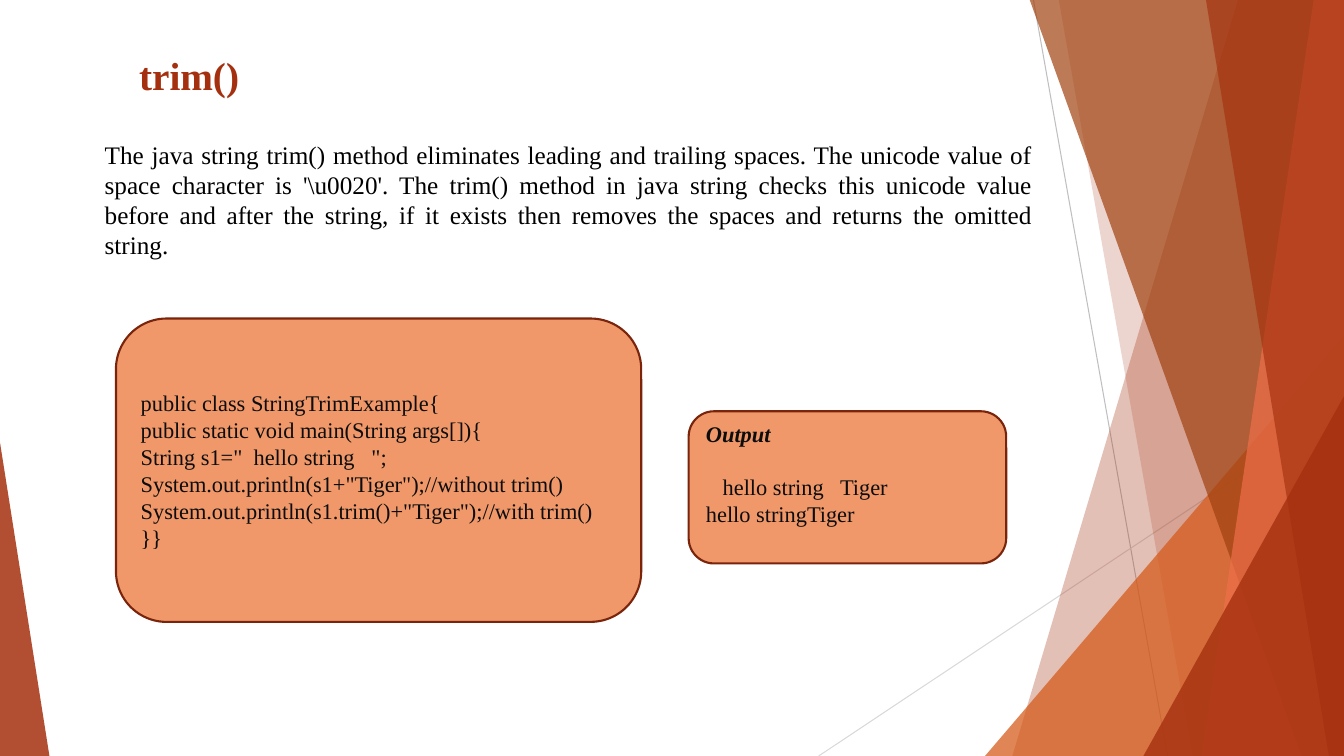
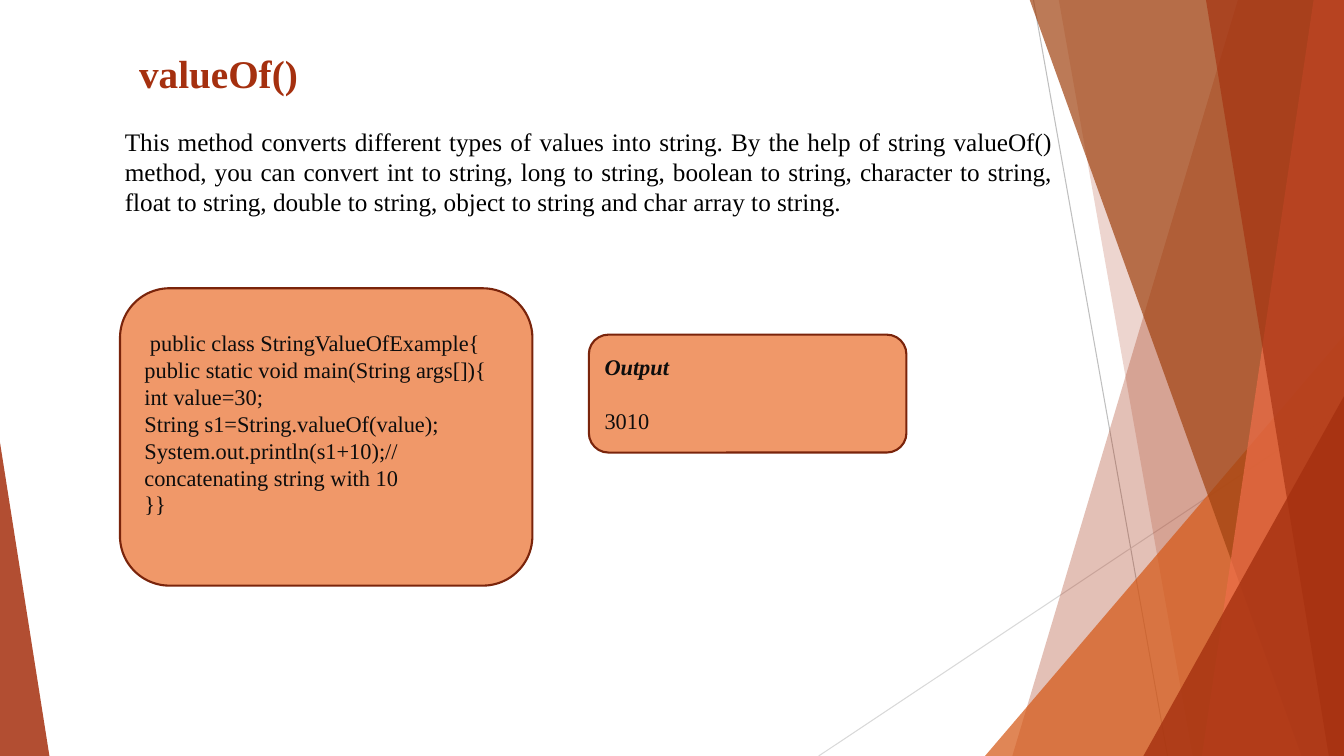
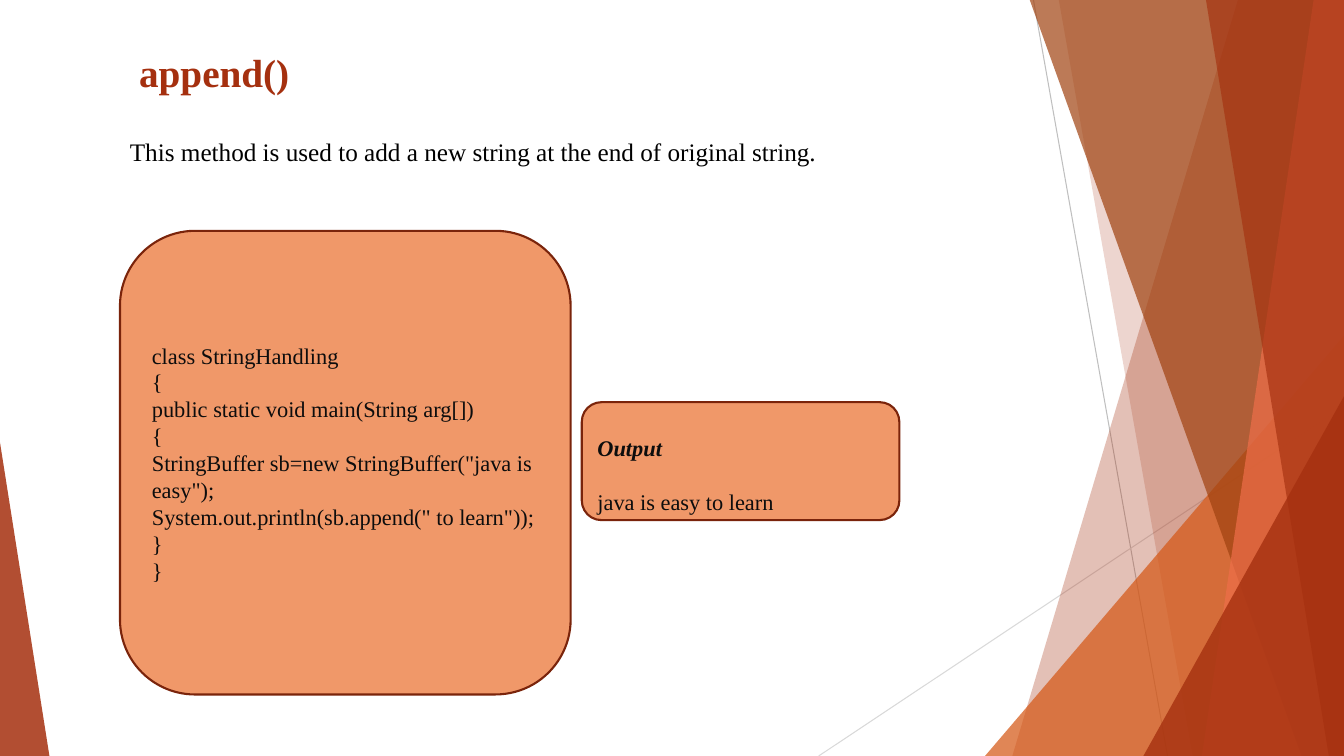
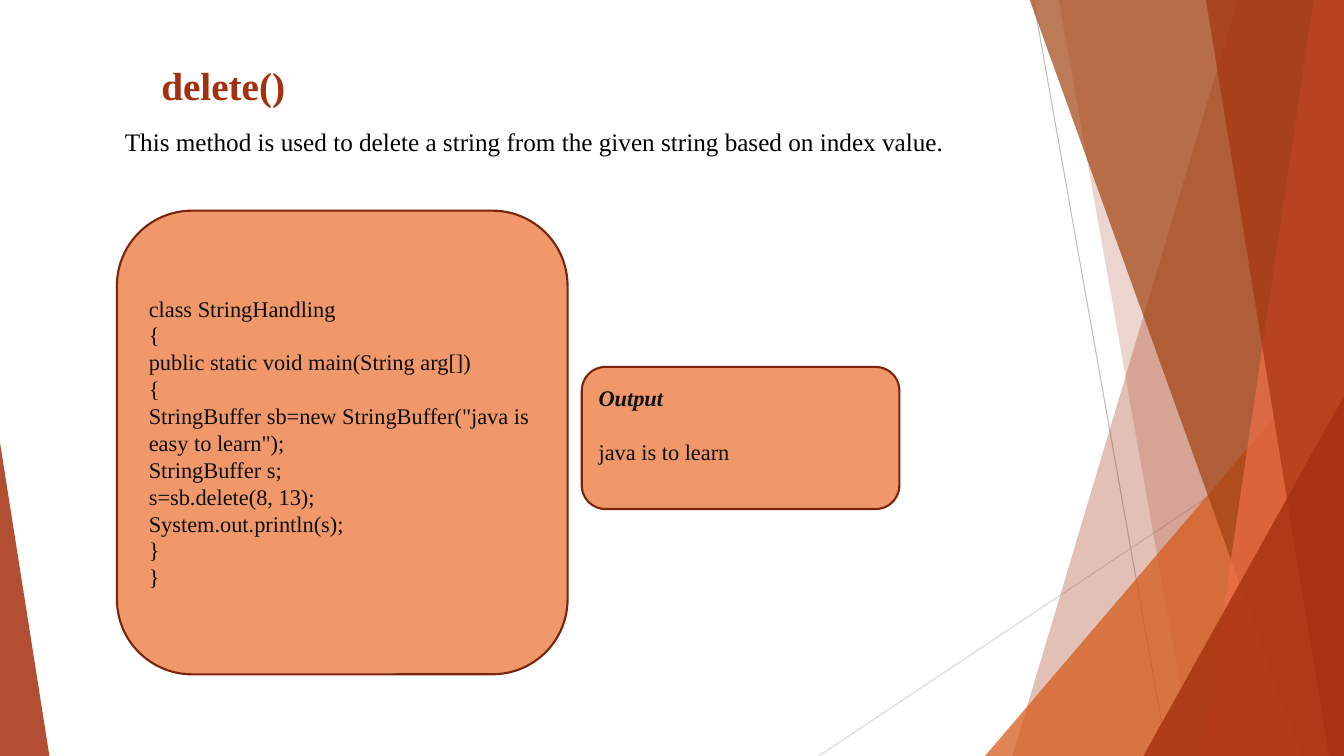
"""Build four slides on Java string methods, each with code and its output."""
from dataclasses import dataclass

from lxml.etree import SubElement
from pptx import Presentation
from pptx.dml.color import RGBColor
from pptx.enum.shapes import MSO_CONNECTOR as CONN, MSO_SHAPE as SHAPE
from pptx.enum.text import MSO_ANCHOR as ANCHOR, MSO_AUTO_SIZE as FIT, PP_ALIGN as ALIGN
from pptx.oxml.ns import qn
from pptx.shapes.shapetree import GroupShapes
from pptx.util import Inches, Pt


@dataclass(frozen=True)
class Theme:
    font: str = "Times New Roman"
    accent: str = "A5300F"
    orange: str = "D55816"
    brown: str = "A04210"
    coral: str = "EE6E4A"
    panel: str = "F09869"
    border: str = "7A240B"
    body: str = "000000"
    code: str = "0D0D0D"
    rule_dark: str = "BFBFBF"
    rule_light: str = "D9D9D9"
    title_size: int = 28
    body_size: int = 18
    code_size: int = 16
    output_gap: int = 19


T = Theme()
WIDTH, HEIGHT, BLEED = 13.33, 7.5, -0.01
EVEN, RAISED, LOWERED = (0.05, 0.05), (0, 0.27), (0.27, 0)


def paint(s, color, opacity=100):
    s.shadow.inherit = False
    s.fill.solid()
    s.fill.fore_color.rgb = RGBColor.from_string(color)
    s.line.fill.background()
    if opacity < 100:
        clr = s.fill._xPr.find(qn("a:solidFill"))[0]
        SubElement(clr, qn("a:alpha")).set("val", str(opacity * 1000))


def write(tf, lines, size, color, align=ALIGN.LEFT):
    tf.word_wrap = True
    for i, line in enumerate(lines):
        p = tf.add_paragraph() if i else tf.paragraphs[0]
        p.alignment = align
        r = p.add_run()
        r.text = line
        r.font.name = T.font
        r.font.size = Pt(size)
        r.font.color.rgb = RGBColor.from_string(color)


prs = Presentation()
prs.slide_width, prs.slide_height = Inches(WIDTH), Inches(HEIGHT)
layout = prs.slide_layouts[5]
decor = GroupShapes(layout.shapes.element, layout)

rules = [
    ((10.25, 0, 11.58, HEIGHT), T.rule_dark),
    ((WIDTH, 4.03, 8.12, HEIGHT), T.rule_light),
]
for ends, color in rules:
    s = decor.add_connector(CONN.STRAIGHT, *map(Inches, ends))
    s.line.width = Pt(0.75)
    s.line.color.rgb = RGBColor.from_string(color)
    SubElement(s.element.spPr, qn("a:effectLst"))

# Bands give top and bottom x of the left edge; triangles give a box and apex.
facets = [
    ((12.28, 10.04), T.accent, 30),
    ((10.5, 11.83), T.accent, 20),
    ((9.77, 3.33, 3.56, 4.17, 1), T.orange, 72),
    ((10.21, 12.91), T.brown, 70),
    ((13.03, 11.92), T.coral, 70),
    ((11.96, 13.18), T.accent, 65),
    ((11.34, 3.93, 1.99, 3.57, 1), T.accent, 80),
    ((0, 4.39, 0.49, 3.11, 0), T.accent, 85),
]
for geometry, color, opacity in facets:
    if len(geometry) == 2:
        top_x, bottom_x = geometry
        outline = decor.build_freeform(Inches(top_x), Inches(BLEED))
        corners = [(WIDTH, BLEED), (WIDTH, HEIGHT), (bottom_x, HEIGHT)]
        outline.add_line_segments([(Inches(x), Inches(y)) for x, y in corners])
        s = outline.convert_to_shape()
    else:
        *box, apex = geometry
        s = decor.add_shape(SHAPE.ISOSCELES_TRIANGLE, *map(Inches, box))
        s.adjustments[0] = apex
    paint(s, color, opacity)

slides = [
    dict(
        title="trim()", title_box=(1.28, 0.46, 7.5, 0.56),
        text=r"The java string trim() method eliminates leading and trailing spaces. "
             r"The unicode value of space character is '\u0020'. The trim() method in java "
             r"string checks this unicode value before and after the string, if it exists "
             r"then removes the spaces and returns the omitted string.",
        text_box=(0.94, 1.33, 9.4, 1.31), align=ALIGN.JUSTIFY,
        code=[
            "public class StringTrimExample{",
            "public static void main(String args[]){",
            'String s1="  hello string   ";',
            'System.out.println(s1+"Tiger");//without trim()',
            'System.out.println(s1.trim()+"Tiger");//with trim()',
            "}}",
        ],
        code_box=(1.15, 3.16, 5.21, 3.01), code_pad=EVEN,
        output=["   hello string   Tiger", "hello stringTiger"],
        output_box=(6.83, 4.08, 3.15, 1.51), output_pad=RAISED,
    ),
    dict(
        title="valueOf()", title_box=(1.28, 0.44, 7.42, 0.91),
        text="This method converts different types of values into string. By the help of "
             "string valueOf() method, you can convert int to string, long to string, "
             "boolean to string, character to string, float to string, double to string, "
             "object to string and char array to string.",
        text_box=(1.14, 1.2, 9.4, 1.01), align=ALIGN.JUSTIFY,
        code=[
            " public class StringValueOfExample{",
            "public static void main(String args[]){",
            "int value=30;",
            "String s1=String.valueOf(value);",
            "System.out.println(s1+10);//concatenating string with 10",
            "}}",
        ],
        code_box=(1.19, 2.86, 4.09, 2.95), code_pad=RAISED,
        output=["3010"],
        output_box=(5.84, 3.32, 3.15, 1.17), output_pad=EVEN,
    ),
    dict(
        title="append()", title_box=(1.28, 0.43, 7.42, 0.46),
        text="This method is used to add a new string at the end of original string.",
        text_box=(1.19, 1.3, 9.4, 0.41), align=ALIGN.LEFT,
        code=[
            "class StringHandling",
            "{",
            "public static void main(String arg[])",
            "{",
            'StringBuffer sb=new StringBuffer("java is easy");',
            'System.out.println(sb.append(" to learn"));',
            "}",
            "}",
        ],
        code_box=(1.19, 2.29, 4.47, 4.6), code_pad=EVEN,
        output=["java is easy to learn"],
        output_box=(5.77, 3.99, 3.15, 1.17), output_pad=LOWERED,
    ),
    dict(
        title="delete()", title_box=(1.5, 0.56, 7.42, 0.36),
        text="This method is used to delete a string from the given string based on "
             "index value.",
        text_box=(1.14, 1.2, 9.4, 0.41), align=ALIGN.LEFT,
        code=[
            "class StringHandling",
            "{",
            "public static void main(String arg[])",
            "{",
            'StringBuffer sb=new StringBuffer("java is easy to learn");',
            "StringBuffer s;",
            "s=sb.delete(8, 13);",
            "System.out.println(s);",
            "}",
            "}",
        ],
        code_box=(1.16, 2.09, 4.47, 4.6), code_pad=EVEN,
        output=["java is to learn"],
        output_box=(5.77, 3.64, 3.15, 1.41), output_pad=RAISED,
    ),
]

for data in slides:
    slide = prs.slides.add_slide(layout)

    title = slide.shapes.title
    title.left, title.top, title.width, title.height = map(Inches, data["title_box"])
    tf = title.text_frame
    tf.auto_size = FIT.NONE
    tf.vertical_anchor = ANCHOR.TOP
    write(tf, [data["title"]], T.title_size, T.accent)
    tf.paragraphs[0].runs[0].font.bold = True

    s = slide.shapes.add_textbox(*map(Inches, data["text_box"]))
    write(s.text_frame, [data["text"]], T.body_size, T.body, data["align"])

    panels = [
        (data["code_box"], data["code_pad"], data["code"]),
        (data["output_box"], data["output_pad"], ["Output", *data["output"]]),
    ]
    for box, (pad_top, pad_bottom), lines in panels:
        s = slide.shapes.add_shape(SHAPE.ROUNDED_RECTANGLE, *map(Inches, box))
        paint(s, T.panel)
        s.line.color.rgb = RGBColor.from_string(T.border)
        s.line.width = Pt(1.5)
        tf = s.text_frame
        tf.vertical_anchor = ANCHOR.MIDDLE
        tf.margin_top, tf.margin_bottom = Inches(pad_top), Inches(pad_bottom)
        write(tf, lines, T.code_size, T.code)

    p = tf.paragraphs[0]
    p.space_after = Pt(T.output_gap)
    p.runs[0].font.bold = True
    p.runs[0].font.italic = True

prs.save("out.pptx")
